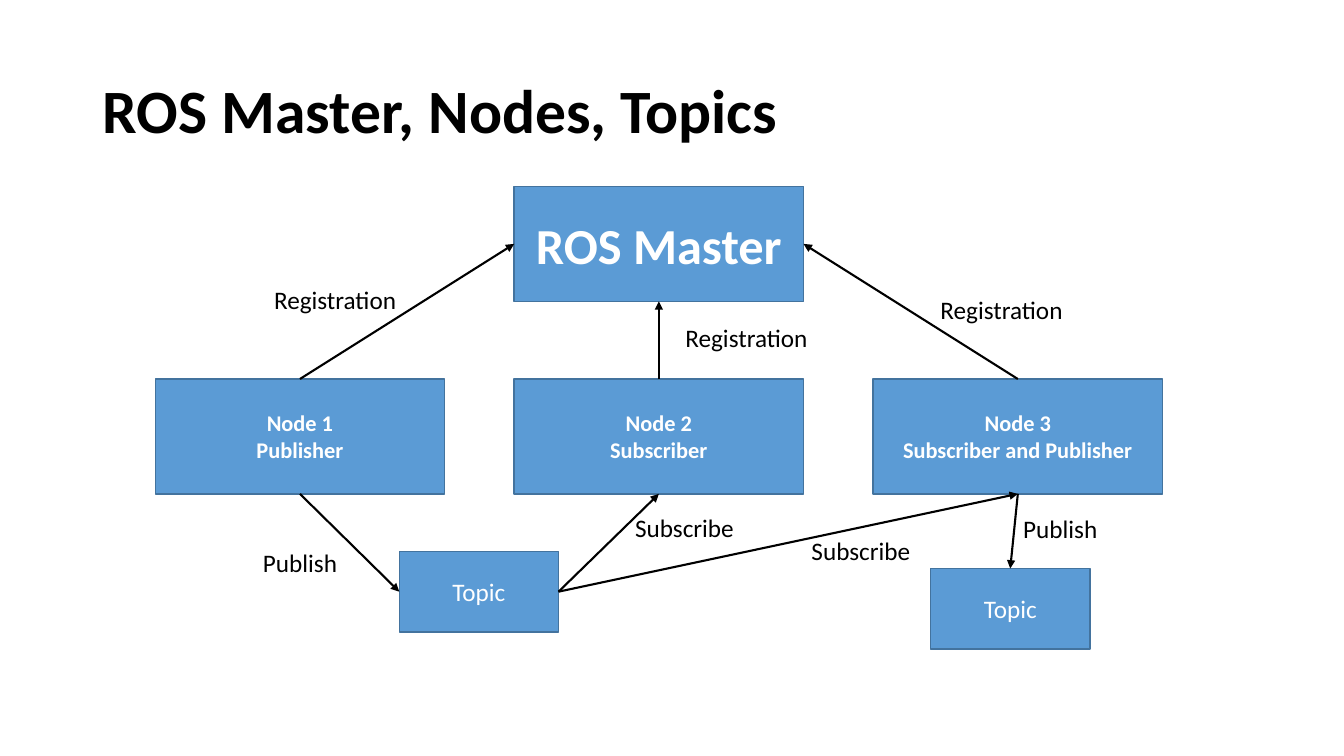
from lxml import etree
from pptx import Presentation
from pptx import util as u
from pptx.dml.color import RGBColor
from pptx.enum import shapes, text
from pptx.oxml import ns

BLACK = RGBColor(0x00, 0x00, 0x00)
WHITE = RGBColor(0xFF, 0xFF, 0xFF)
BLUE = RGBColor(0x5B, 0x9B, 0xD5)
DARK_BLUE = RGBColor(0x43, 0x73, 0x9E)
TOP, LEFT, BOTTOM, RIGHT = range(4)


def write_text(frame, lines, size=18, color=BLACK, bold=False, spacing=1.0,
               align=text.PP_ALIGN.LEFT, anchor=text.MSO_ANCHOR.TOP, wrap=True):
    """Fill a text frame with one paragraph per line."""
    frame.word_wrap = wrap
    frame.vertical_anchor = anchor
    for index, line in enumerate(lines):
        paragraph = frame.add_paragraph() if index else frame.paragraphs[0]
        paragraph.alignment = align
        paragraph.line_spacing = spacing
        run = paragraph.add_run()
        run.text = line
        run.font.name = "Calibri"
        run.font.size = u.Pt(size)
        run.font.bold = bold
        run.font.color.rgb = color


class Diagram:
    """Holds the current slide and the style of its elements."""

    def __init__(self, slide, fill=BLUE, outline=DARK_BLUE, arrow_color=BLACK):
        self.slide = slide
        self.fill = fill
        self.outline = outline
        self.arrow_color = arrow_color

    def title(self, line, left, top, width, height):
        shape = self.slide.shapes.title
        shape.left, shape.top = u.Inches(left), u.Inches(top)
        shape.width, shape.height = u.Inches(width), u.Inches(height)
        write_text(shape.text_frame, [line], size=44, bold=True, spacing=0.9,
                   anchor=text.MSO_ANCHOR.MIDDLE)
        shape.text_frame.auto_size = text.MSO_AUTO_SIZE.NONE

    def box(self, lines, left, top, width, height, **style):
        shape = self.slide.shapes.add_shape(
            shapes.MSO_SHAPE.RECTANGLE, u.Inches(left), u.Inches(top),
            u.Inches(width), u.Inches(height))
        shape.shadow.inherit = False
        shape.fill.solid()
        shape.fill.fore_color.rgb = self.fill
        shape.line.color.rgb = self.outline
        shape.line.width = u.Pt(1)
        write_text(shape.text_frame, lines, color=WHITE,
                   align=text.PP_ALIGN.CENTER,
                   anchor=text.MSO_ANCHOR.MIDDLE, **style)
        return shape

    def label(self, line, left, top, width):
        shape = self.slide.shapes.add_textbox(
            u.Inches(left), u.Inches(top), u.Inches(width), u.Inches(0.4))
        write_text(shape.text_frame, [line], wrap=False)
        shape.text_frame.auto_size = text.MSO_AUTO_SIZE.SHAPE_TO_FIT_TEXT

    def arrow(self, start, start_side, end, end_side):
        connector = self.slide.shapes.add_connector(
            shapes.MSO_CONNECTOR.STRAIGHT, 0, 0, 0, 0)
        connector.begin_connect(start, start_side)
        connector.end_connect(end, end_side)
        connector.line.color.rgb = self.arrow_color
        connector.line.width = u.Pt(1.5)
        line = connector.line._get_or_add_ln()
        etree.SubElement(line, ns.qn("a:tailEnd"), type="triangle")
        etree.SubElement(connector._element.spPr, ns.qn("a:effectLst"))


def main():
    presentation = Presentation()
    presentation.slide_width = u.Inches(13.33)
    presentation.slide_height = u.Inches(7.5)
    slide = presentation.slides.add_slide(presentation.slide_layouts[5])
    diagram = Diagram(slide)
    diagram.title("ROS Master, Nodes, Topics", 0.92, 0.4, 11.5, 1.45)

    # Master and the row of nodes
    node_size = (2.87, 1.14)
    first_left, node_step = 1.54, 3.56
    master = diagram.box(["ROS Master"], first_left + node_step, 1.85,
                         *node_size, size=36, bold=True)
    roles = ["Publisher", "Subscriber", "Subscriber and Publisher"]
    publisher, subscriber, relay = [
        diagram.box([f"Node {index + 1}", role], first_left + index * node_step,
                    3.76, *node_size, size=16, bold=True)
        for index, role in enumerate(roles)]

    # Topics
    shared_topic, relay_topic = [
        diagram.box(["Topic"], left, top, 1.58, 0.8)
        for left, top in [(3.96, 5.47), (9.3 - 0.07, 5.64)]]

    # Registration, publish and subscribe arrows
    for link in [
        (publisher, TOP, master, LEFT),
        (subscriber, TOP, master, BOTTOM),
        (relay, TOP, master, RIGHT),
        (publisher, BOTTOM, shared_topic, LEFT),
        (shared_topic, RIGHT, subscriber, BOTTOM),
        (shared_topic, RIGHT, relay, BOTTOM),
        (relay, BOTTOM, relay_topic, TOP),
    ]:
        diagram.arrow(*link)

    # Arrow labels
    label_widths = {"Registration": 1.43, "Publish": 0.95, "Subscribe": 1.19}
    for line, left, top in [
        ("Registration", 2.62, 2.77),
        ("Registration", 9.23, 2.87),
        ("Registration", 6.7, 3.15),
        ("Publish", 2.51, 5.38),
        ("Publish", 10.05, 5.04),
        ("Subscribe", 6.2, 5.03),
        ("Subscribe", 7.95, 5.26),
    ]:
        diagram.label(line, left, top, label_widths[line])

    presentation.save("out.pptx")


if __name__ == "__main__":
    main()
